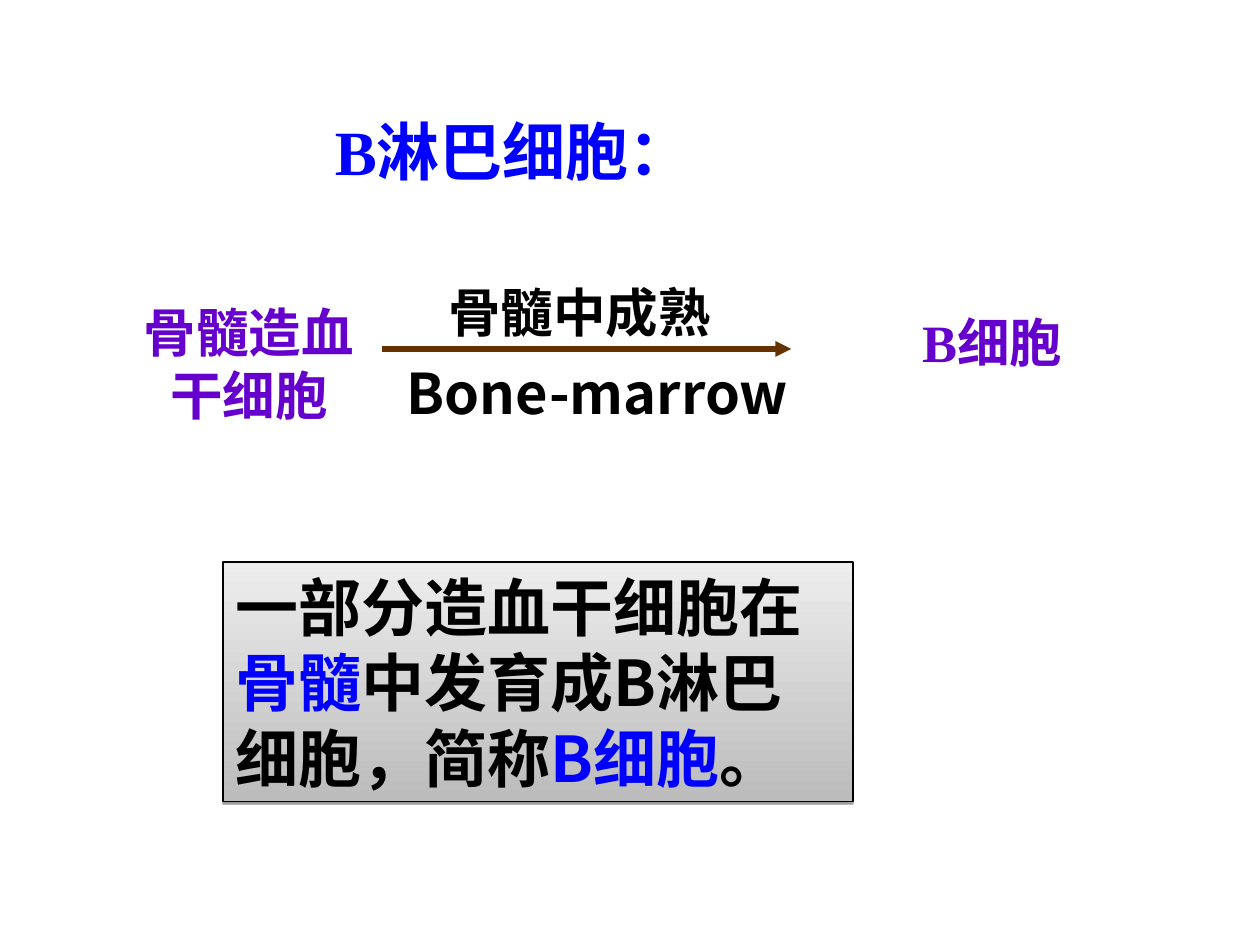
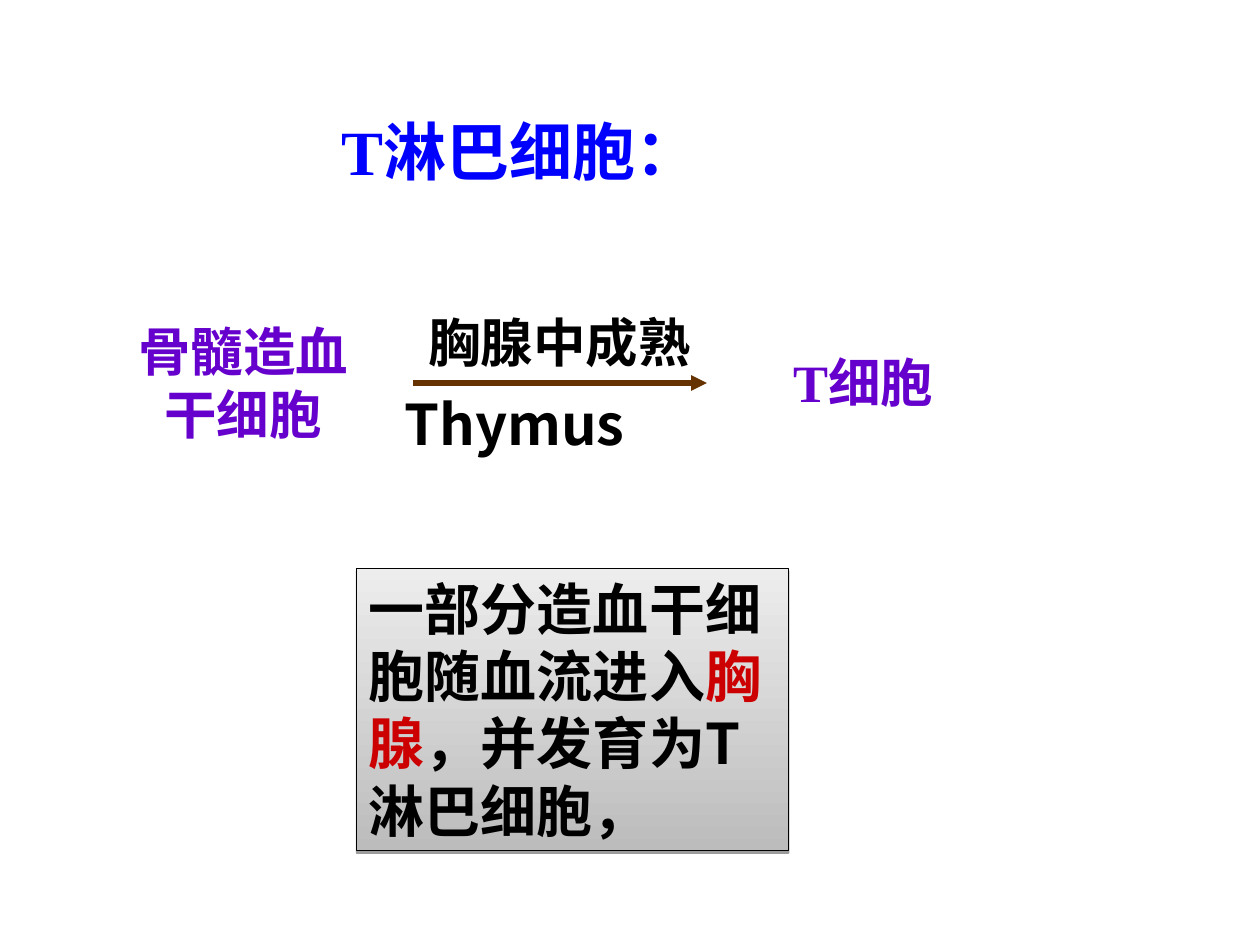
from lxml import etree
from pptx import Presentation
from pptx.dml.color import RGBColor
from pptx.enum.shapes import MSO_CONNECTOR, MSO_SHAPE
from pptx.enum.text import MSO_ANCHOR, PP_ALIGN
from pptx.oxml import parse_xml
from pptx.oxml.ns import nsdecls, qn
from pptx.util import Pt

PX = 9144  # 100 px to the inch

RECTANGLE = MSO_SHAPE.RECTANGLE
STRAIGHT = MSO_CONNECTOR.STRAIGHT
TOP = MSO_ANCHOR.TOP
LEFT, CENTER = PP_ALIGN.LEFT, PP_ALIGN.CENTER

BLUE = RGBColor(0x00, 0x00, 0xFF)
PURPLE = RGBColor(0x66, 0x00, 0xCC)
BROWN = RGBColor(0x66, 0x33, 0x00)
RED = RGBColor(0xCC, 0x00, 0x00)
BLACK = RGBColor(0x00, 0x00, 0x00)
PANEL_DARK = RGBColor(0xBC, 0xBC, 0xBC)
PANEL_LIGHT = RGBColor(0xED, 0xED, 0xED)

SANS = "Noto Sans CJK SC"
SERIF = "Times New Roman"

# Text styles shared by both slides
TITLE = {"name": SERIF, "size": Pt(36), "bold": True}
LABEL = {"name": SERIF, "size": Pt(30), "bold": True}
ENGLISH = {"name": SANS, "size": Pt(32), "bold": True}

PANEL_SHADOW = (
    f'<a:effectLst {nsdecls("a")}>'
    f'<a:outerShdw blurRad="0" dist="{Pt(1.6)}" dir="5400000" rotWithShape="0">'
    '<a:srgbClr val="000000"><a:alpha val="38000"/></a:srgbClr>'
    '</a:outerShdw></a:effectLst>'
)


def scaled(*lengths):
    return [length * PX for length in lengths]


def add_run(paragraph, text, style, color):
    run = paragraph.add_run()
    run.text = text
    for attribute, value in style.items():
        setattr(run.font, attribute, value)
    run.font.color.rgb = color
    etree.SubElement(run._r.get_or_add_rPr(), qn("a:ea"), typeface=SANS)


def add_label(slide, box, lines, style, color, align=LEFT, line_spacing=1.0):
    frame = slide.shapes.add_textbox(*scaled(*box)).text_frame
    frame.word_wrap = True
    for number, line in enumerate(lines):
        paragraph = frame.add_paragraph() if number else frame.paragraphs[0]
        paragraph.alignment = align
        paragraph.line_spacing = line_spacing
        add_run(paragraph, line, style, color)


def add_arrow(slide, start, end, y):
    arrow = slide.shapes.add_connector(STRAIGHT, *scaled(start, y, end, y))
    arrow.line.color.rgb = BROWN
    arrow.line.width = Pt(3)
    etree.SubElement(arrow.line._get_or_add_ln(), qn("a:tailEnd"), type="triangle")
    etree.SubElement(arrow._element.spPr, qn("a:effectLst"))


def add_panel(slide, box, size, pieces):
    panel = slide.shapes.add_shape(RECTANGLE, *scaled(*box))
    panel.fill.gradient()
    panel.fill.gradient_angle = 90
    for stop, color in zip(panel.fill.gradient_stops, (PANEL_DARK, PANEL_LIGHT)):
        stop.color.rgb = color
    panel.line.color.rgb = BLACK
    panel.line.width = Pt(0.75)
    panel._element.spPr.append(parse_xml(PANEL_SHADOW))

    frame = panel.text_frame
    frame.word_wrap = True
    frame.vertical_anchor = TOP
    paragraph = frame.paragraphs[0]
    paragraph.alignment = LEFT
    style = {"name": SANS, "size": Pt(size), "bold": True}
    for text, color in pieces:
        add_run(paragraph, text, style, color)


def add_cell_slide(prs, letter, title_left, stem_box, arrow, cell_box,
                   organ, organ_box, english, english_box,
                   panel_box, panel_size, panel_pieces):
    slide = prs.slides.add_slide(prs.slide_layouts[6])
    add_label(slide, (title_left, 91, 342, 58), [f"{letter}淋巴细胞："],
              TITLE, BLUE, line_spacing=0.9)

    # Path from stem cell to mature cell
    add_label(slide, stem_box, ["骨髓造血", "干细胞"], LABEL, PURPLE, CENTER)
    add_arrow(slide, *arrow)
    add_label(slide, cell_box, [f"{letter}细胞"], LABEL, PURPLE, CENTER)
    add_label(slide, english_box, [english], ENGLISH, BLACK)
    add_label(slide, organ_box, [f"{organ}中成熟"], LABEL, BLACK)

    # Explanation
    add_panel(slide, panel_box, panel_size, panel_pieces)


def main():
    prs = Presentation()
    prs.slide_width, prs.slide_height = scaled(1000, 750)

    add_cell_slide(
        prs, "B", title_left=256,
        stem_box=(90, 233, 215, 110), arrow=(303, 628, 277),
        cell_box=(689, 241, 197, 60),
        organ="骨髓", organ_box=(346, 217, 248, 60),
        english="Bone-marrow", english_box=(313, 280, 329, 64),
        panel_box=(177, 446, 500, 190), panel_size=36,
        panel_pieces=[("一部分造血干细胞在", BLACK), ("骨髓", BLUE),
                      ("中发育成B淋巴细胞，简称", BLACK), ("B细胞", BLUE),
                      ("。", BLACK)])

    add_cell_slide(
        prs, "T", title_left=261,
        stem_box=(83, 248, 220, 110), arrow=(328, 561, 304),
        cell_box=(547, 273, 276, 60),
        organ="胸腺", organ_box=(330, 241, 238, 60),
        english="Thymus", english_box=(311, 304, 362, 64),
        panel_box=(283, 451, 343, 224), panel_size=32,
        panel_pieces=[("一部分造血干细胞随血流进入", BLACK), ("胸腺", RED),
                      ("，并发育为T淋巴细胞，", BLACK)])

    prs.save("out.pptx")


if __name__ == "__main__":
    main()
